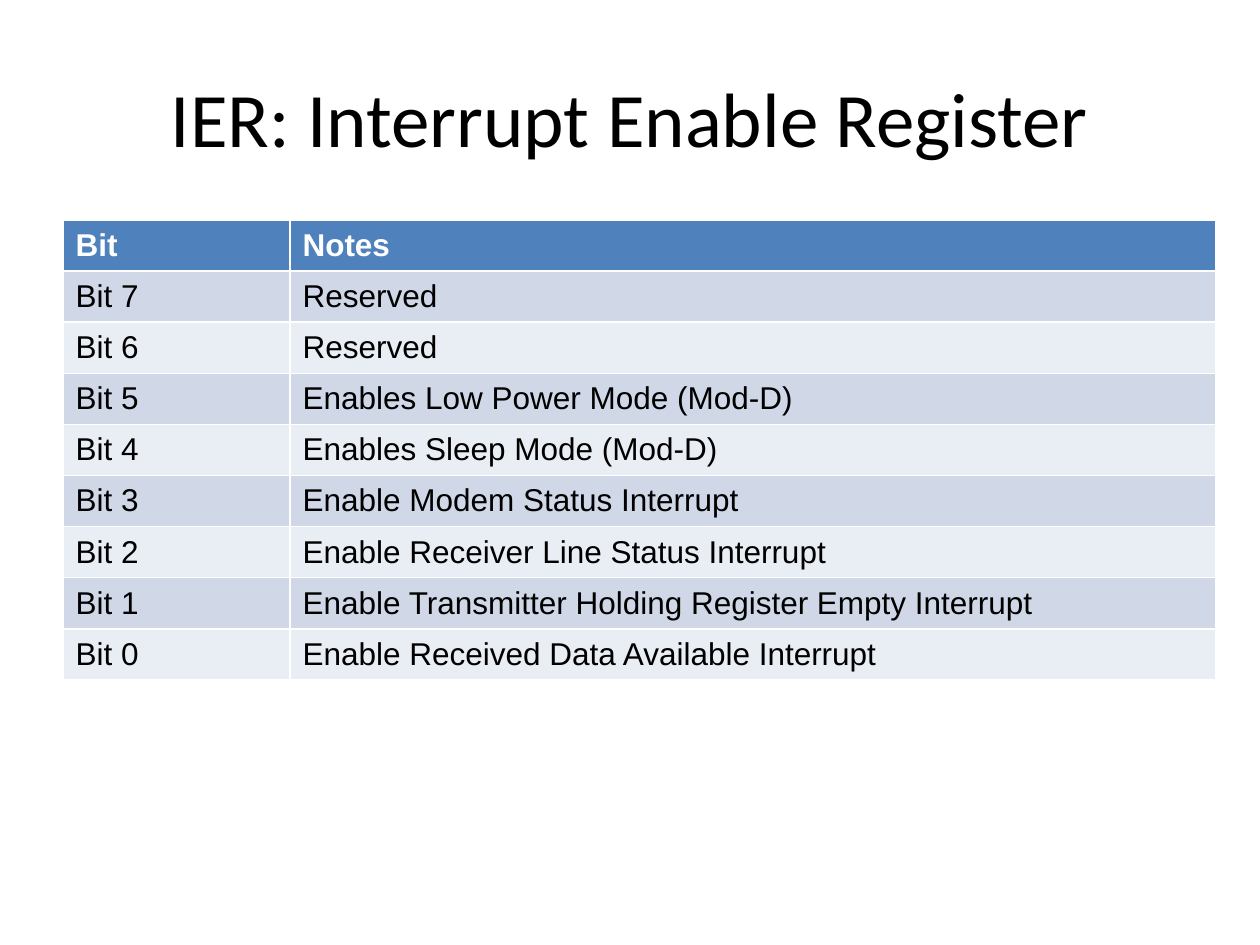
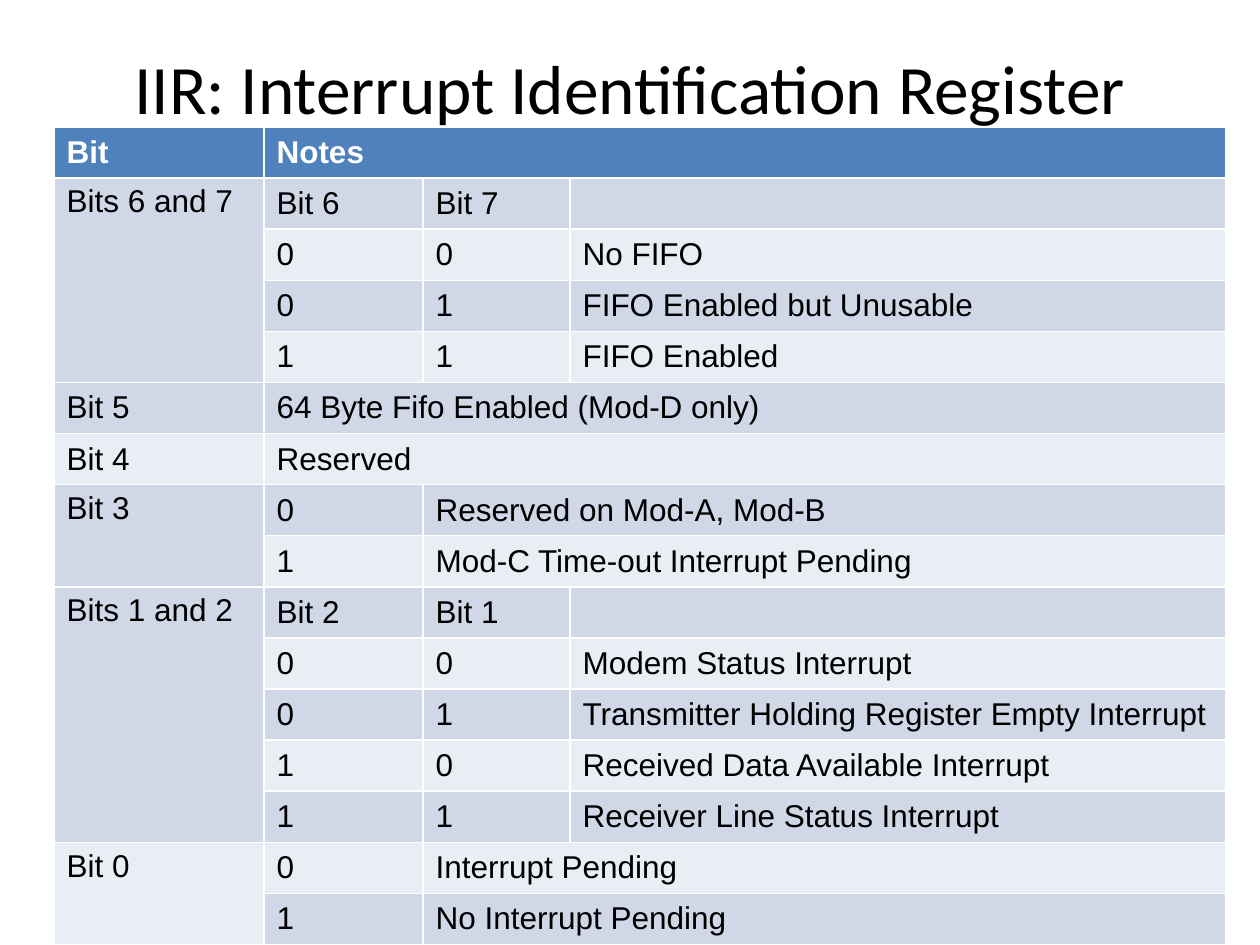
from dataclasses import dataclass

from pptx import Presentation
from pptx.dml.color import RGBColor
from pptx.enum.text import MSO_ANCHOR, MSO_AUTO_SIZE, PP_ALIGN
from pptx.util import Emu, Pt

BLACK = RGBColor(0x00, 0x00, 0x00)
WHITE = RGBColor(0xFF, 0xFF, 0xFF)
BLUE = RGBColor(0x4F, 0x81, 0xBD)
DARK = RGBColor(0xD0, 0xD8, 0xE8)
LIGHT = RGBColor(0xE9, 0xED, 0xF4)


def px(n: float) -> Emu:
    """Pixels at 126 to the inch, as EMU."""
    return Emu(round(n * 914400 / 126))


@dataclass
class Page:
    """A title above a register table.

    The last text of a row spans the columns left over; an empty
    first text continues the cell above it.
    """
    title: str
    size: float
    depth: int
    left: int
    top: int
    high: int
    cols: list[int]
    rows: list[tuple[str, ...]]


HEAD = ("Bit", "Notes")

PAGES = [
    Page("IER: Interrupt Enable Register", 44, 157, 63, 220, 460, [227, 926], [
        HEAD,
        ("Bit 7", "Reserved"),
        ("Bit 6", "Reserved"),
        ("Bit 5", "Enables Low Power Mode (Mod-D)"),
        ("Bit 4", "Enables Sleep Mode (Mod-D)"),
        ("Bit 3", "Enable Modem Status Interrupt"),
        ("Bit 2", "Enable Receiver Line Status Interrupt"),
        ("Bit 1", "Enable Transmitter Holding Register Empty Interrupt"),
        ("Bit 0", "Enable Received Data Available Interrupt"),
    ]),
    Page("IIR: Interrupt Identification Register", 39.6, 97, 54, 127, 818,
         [210, 159, 147, 656], [
        HEAD,
        ("Bits 6 and 7", "Bit 6", "Bit 7", ""),
        ("", "0", "0", "No FIFO"),
        ("", "0", "1", "FIFO Enabled but Unusable"),
        ("", "1", "1", "FIFO Enabled"),
        ("Bit 5", "64 Byte Fifo Enabled (Mod-D only)"),
        ("Bit 4", "Reserved"),
        ("Bit 3", "0", "Reserved on Mod-A, Mod-B"),
        ("", "1", "Mod-C Time-out Interrupt Pending"),
        ("Bits 1 and 2", "Bit 2", "Bit 1", ""),
        ("", "0", "0", "Modem Status Interrupt"),
        ("", "0", "1", "Transmitter Holding Register Empty Interrupt"),
        ("", "1", "0", "Received Data Available Interrupt"),
        ("", "1", "1", "Receiver Line Status Interrupt"),
        ("Bit 0", "0", "Interrupt Pending"),
        ("", "1", "No Interrupt Pending"),
    ]),
]


def write(frame, text: str, *, size: float = 18, font: str = "Arial",
          color: RGBColor = BLACK, bold: bool = False,
          align: PP_ALIGN = PP_ALIGN.LEFT) -> None:
    par = frame.paragraphs[0]
    par.alignment = align
    run = par.add_run()
    run.text = text
    run.font.size = Pt(size)
    run.font.name = font
    run.font.bold = bold
    run.font.color.rgb = color


def add_title(slide, page: Page) -> None:
    title = slide.shapes.title
    title.left, title.top = px(63), px(38)
    title.width, title.height = px(1134), px(page.depth)
    frame = title.text_frame
    frame.word_wrap = True
    frame.auto_size = MSO_AUTO_SIZE.NONE
    frame.vertical_anchor = MSO_ANCHOR.MIDDLE
    write(frame, page.title, size=page.size, font="Calibri",
          align=PP_ALIGN.CENTER)


def add_grid(slide, page: Page) -> None:
    count, last = len(page.rows), len(page.cols) - 1
    # The default table style draws the white rules
    grid = slide.shapes.add_table(
        count, last + 1, px(page.left), px(page.top),
        px(sum(page.cols)), px(page.high)).table
    for col, wide in zip(grid.columns, page.cols):
        col.width = px(wide)

    for r, texts in enumerate(page.rows):
        head = r == 0
        grid.rows[r].height = px(page.high / count)
        # Bands: blue header, then dark and light in turn
        for cell in grid.rows[r].cells:
            cell.fill.solid()
            cell.fill.fore_color.rgb = BLUE if head else (LIGHT, DARK)[r % 2]
            cell.vertical_anchor = MSO_ANCHOR.MIDDLE
        for c, text in enumerate(texts):
            if text:
                write(grid.cell(r, c).text_frame, text, bold=head,
                      color=WHITE if head else BLACK)
        # Last text fills the row
        end = len(texts) - 1
        if end < last:
            grid.cell(r, end).merge(grid.cell(r, last))

    # Join each label with the empty cells below it
    starts = [r for r, texts in enumerate(page.rows) if texts[0]]
    for first, after in zip(starts, starts[1:] + [count]):
        if after - first > 1:
            label = grid.cell(first, 0)
            label.merge(grid.cell(after - 1, 0))
            label.vertical_anchor = MSO_ANCHOR.TOP


deck = Presentation()
deck.slide_width, deck.slide_height = px(1260), px(945)
for page in PAGES:
    slide = deck.slides.add_slide(deck.slide_layouts[5])
    add_title(slide, page)
    add_grid(slide, page)
deck.save("out.pptx")
